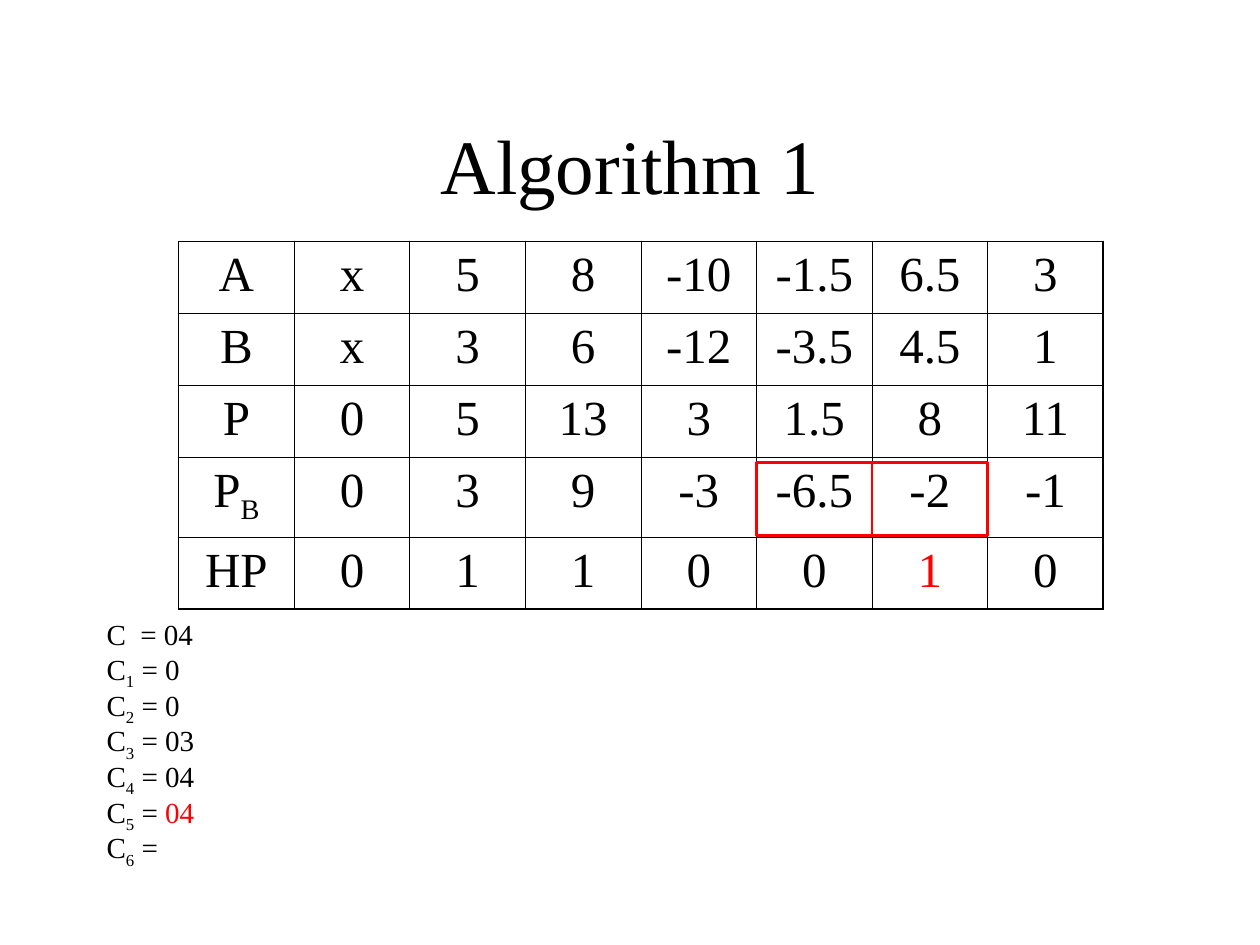
import pptx
import pptx.dml.color
import pptx.enum.shapes
import pptx.enum.text
import pptx.oxml
import pptx.oxml.ns
import pptx.util

Cm = pptx.util.Cm
Pt = pptx.util.Pt
ALIGN = pptx.enum.text.PP_ALIGN
ANCHOR = pptx.enum.text.MSO_ANCHOR

FONT = "Times New Roman"
BLACK, RED = "000000", "FF0000"
SUB, MARK = "subscript", "mark"

TITLE = "Algorithm 1"
ROWS = [
    ["A", "x", "5", "8", "-10", "-1.5", "6.5", "3"],
    ["B", "x", "3", "6", "-12", "-3.5", "4.5", "1"],
    ["P", "0", "5", "13", "3", "1.5", "8", "11"],
    [["P", ("B", SUB)], "0", "3", "9", "-3", "-6.5", "-2", "-1"],
    ["HP", "0", "1", "1", "0", "0", [("1", MARK)], "0"],
]
COUNTERS = [
    "C  = 04",
    ["C", ("1", SUB), " = 0"],
    ["C", ("2", SUB), " = 0"],
    ["C", ("3", SUB), " = 03"],
    ["C", ("4", SUB), " = 04"],
    ["C", ("5", SUB), " = ", ("04", MARK)],
    ["C", ("6", SUB), " ="],
]

TABLE_LEFT, TABLE_TOP, COLUMN_WIDTH = 3.6, 4.87, 2.33
ROW_HEIGHTS = [1.45, 1.45, 1.45, 1.61, 1.45]
FRAMED_COLUMNS = [6, 5]
FRAME_TOP, FRAME_HEIGHT = 9.32, 1.48
INNER_LINE, OUTER_LINE = 0.45, 1.08


def color(hex_string):
    return pptx.dml.color.RGBColor.from_string(hex_string)


def write(paragraph, text, size, align=ALIGN.LEFT, line_spacing=None, space_before=0):
    paragraph.alignment = align
    paragraph.line_spacing = line_spacing
    paragraph.space_before = Pt(space_before)
    for piece in [text] if isinstance(text, str) else text:
        words, style = (piece, None) if isinstance(piece, str) else piece
        run = paragraph.add_run()
        run.text = words
        run.font.name = FONT
        run.font.size = Pt(size)
        run.font.color.rgb = color(RED if style == MARK else BLACK)
        if style == SUB:
            run._r.get_or_add_rPr().set("baseline", "-25000")


def set_borders(cell, widths):
    properties = cell._tc.get_or_add_tcPr()
    for side, width in zip("LRTB", widths):
        properties.append(pptx.oxml.parse_xml(
            f'<a:ln{side} {pptx.oxml.ns.nsdecls("a")} w="{int(Pt(width))}">'
            f'<a:solidFill><a:srgbClr val="{BLACK}"/></a:solidFill></a:ln{side}>'))


def add_title(slide):
    title = slide.shapes.title
    title.left, title.top, title.width, title.height = Cm(1.9), Cm(1.7), Cm(21.6), Cm(3.18)
    title.text_frame.vertical_anchor = ANCHOR.MIDDLE
    write(title.text_frame.paragraphs[0], TITLE, 44, align=ALIGN.CENTER)


def add_counters(slide):
    box = slide.shapes.add_textbox(Cm(1.9), Cm(12.5), Cm(21.6), Cm(5.51))
    frame = box.text_frame
    frame.word_wrap = True
    for index, text in enumerate(COUNTERS):
        paragraph = frame.add_paragraph() if index else frame.paragraphs[0]
        write(paragraph, text, 16.6, line_spacing=0.7, space_before=4.5 if index else 0)


def add_values(slide):
    row_count, column_count = len(ROWS), len(ROWS[0])
    table = slide.shapes.add_table(
        row_count, column_count, Cm(TABLE_LEFT), Cm(TABLE_TOP),
        Cm(COLUMN_WIDTH * column_count), Cm(sum(ROW_HEIGHTS))).table
    table.first_row = table.horz_banding = False
    for column in table.columns:
        column.width = Cm(COLUMN_WIDTH)
    for r, values in enumerate(ROWS):
        table.rows[r].height = Cm(ROW_HEIGHTS[r])
        for c, text in enumerate(values):
            cell = table.cell(r, c)
            edges = [c == 0, c == column_count - 1, r == 0, r == row_count - 1]
            set_borders(cell, [OUTER_LINE if edge else INNER_LINE for edge in edges])
            cell.fill.background()
            write(cell.text_frame.paragraphs[0], text, 28, align=ALIGN.CENTER)


def add_frames(slide):
    for column in FRAMED_COLUMNS:
        shape = slide.shapes.add_shape(
            pptx.enum.shapes.MSO_SHAPE.RECTANGLE, Cm(TABLE_LEFT + column * COLUMN_WIDTH),
            Cm(FRAME_TOP), Cm(COLUMN_WIDTH), Cm(FRAME_HEIGHT))
        shape.shadow.inherit = False
        shape.fill.background()
        shape.line.color.rgb = color(RED)
        shape.line.width = Pt(1.5)


def main():
    """Build the slide that steps through Algorithm 1."""
    presentation = pptx.Presentation()
    presentation.slide_width, presentation.slide_height = Cm(25.4), Cm(19.05)
    slide = presentation.slides.add_slide(presentation.slide_layouts[5])
    add_title(slide)
    add_counters(slide)
    add_values(slide)
    add_frames(slide)
    presentation.save("out.pptx")


if __name__ == "__main__":
    main()
